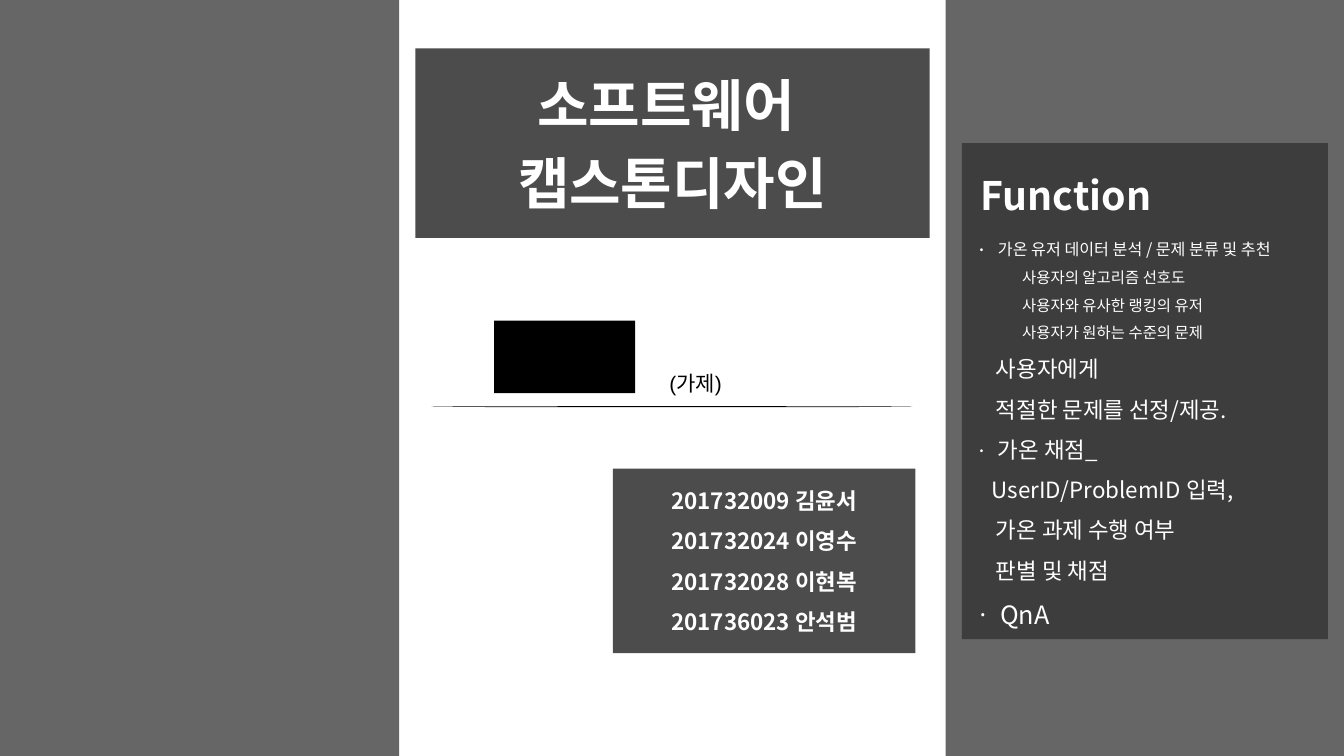
from dataclasses import dataclass

from lxml import etree
from pptx import Presentation
from pptx.dml.color import RGBColor
from pptx.enum.shapes import MSO_SHAPE
from pptx.enum.text import MSO_ANCHOR, PP_ALIGN
from pptx.oxml.ns import qn
from pptx.util import Inches, Pt

RECTANGLE, ELLIPSE = MSO_SHAPE.RECTANGLE, MSO_SHAPE.OVAL
TOP, MIDDLE = MSO_ANCHOR.TOP, MSO_ANCHOR.MIDDLE
LEFT, CENTER = PP_ALIGN.LEFT, PP_ALIGN.CENTER
COLORS = {"black": "000000", "white": "FFFFFF"}
LATIN, KOREAN = "Arial", "Noto Sans CJK KR"


@dataclass(frozen=True)
class Panel:
    left: float
    top: float
    width: float
    height: float
    opacity: int = 100
    outline: int = RECTANGLE


@dataclass(frozen=True)
class Line:
    text: str
    size: float = 16
    indent: float = 0.24
    bold: bool = False
    bullet_percent: int = 0
    space_before: float = 0


SIDE_BANDS = [Panel(left, 0, 3.96, 7.5, 60) for left in (0, 9.38)]
PROJECT_MARK = Panel(4.9, 3.18, 1.4, 0.72)
PROJECT_RULE = Panel(4.28, 4.03, 4.77, 0.01, outline=ELLIPSE)
TITLE_PANEL = Panel(4.12, 0.48, 5.1, 1.88, 70)
MEMBER_PANEL = Panel(6.08, 4.65, 3, 1.83, 70)
FUNCTION_PANEL = Panel(9.54, 1.42, 3.63, 4.92, 40)

TITLE = [
    Line("소프트웨어 ", 40, 0, True, space_before=12),
    Line("캡스톤디자인", 40, 0, True, space_before=7.2),
]
MEMBERS = [
    Line(member, 16, 0, True, space_before=9.6)
    for member in ("201732009 김윤서", "201732024 이영수",
                   "201732028 이현복", "201736023 안석범")
]
FUNCTIONS = [
    Line("Function", 28, 0.09, True),
    Line("가온 유저 데이터 분석 / 문제 분류 및 추천", 11.5, 0.26,
         bullet_percent=139, space_before=8),
    Line("사용자의 알고리즘 선호도", 11, 0.5),
    Line("사용자와 유사한 랭킹의 유저", 11, 0.5),
    Line("사용자가 원하는 수준의 문제", 11, 0.5),
    Line("사용자에게"),
    Line("적절한 문제를 선정/제공."),
    Line("가온 채점_", indent=0.26, bullet_percent=100),
    Line("UserID/ProblemID 입력,", indent=0.2),
    Line("가온 과제 수행 여부"),
    Line("판별 및 채점"),
    Line("QnA", 18, 0.28, bullet_percent=100),
]


def add_panel(slide, panel: Panel):
    shape = slide.shapes.add_shape(
        panel.outline, Inches(panel.left), Inches(panel.top),
        Inches(panel.width), Inches(panel.height))
    shape.shadow.inherit = False
    shape.line.fill.background()
    shape.fill.solid()
    shape.fill.fore_color.rgb = RGBColor.from_string(COLORS["black"])
    if panel.opacity < 100:
        tint = shape.fill._xPr.find(".//" + qn("a:srgbClr"))
        etree.SubElement(tint, qn("a:alpha"), val=str(panel.opacity * 1000))
    return shape


def add_run(paragraph, text: str, *, size: float, color: str = "white",
            font: str = KOREAN, bold: bool = False) -> None:
    run = paragraph.add_run()
    run.text = text
    run.font.size = Pt(size)
    run.font.bold = bold
    run.font.name = font
    run.font.color.rgb = RGBColor.from_string(COLORS[color])
    etree.SubElement(run.font._element, qn("a:ea"), typeface=KOREAN)


def set_indent(paragraph, line: Line) -> None:
    """Set the left margin and, where the line has one, a hanging bullet."""
    properties = paragraph._p.get_or_add_pPr()
    margin = Inches(line.indent)
    properties.set("marL", str(margin))
    properties.set("indent", str(-margin if line.bullet_percent else 0))
    if line.bullet_percent:
        etree.SubElement(properties, qn("a:buSzPct"),
                         val=str(line.bullet_percent * 1000))
        etree.SubElement(properties, qn("a:buFont"), typeface=KOREAN)
        etree.SubElement(properties, qn("a:buChar"), char="ㆍ")


def write_lines(shape, lines: list[Line], *, align: int = CENTER,
                spacing: float = 1.0, bottom: float = 0.05) -> None:
    frame = shape.text_frame
    frame.word_wrap = True
    frame.vertical_anchor = MIDDLE
    frame.margin_bottom = Inches(bottom)
    for index, line in enumerate(lines):
        paragraph = frame.add_paragraph() if index else frame.paragraphs[0]
        paragraph.alignment = align
        paragraph.line_spacing = spacing
        paragraph.space_before = Pt(line.space_before)
        set_indent(paragraph, line)
        add_run(paragraph, line.text, size=line.size, bold=line.bold)


def add_working_title_note(slide) -> None:
    note = slide.shapes.add_textbox(
        Inches(6.54), Inches(3.63), Inches(1), Inches(0.35))
    note.text_frame.word_wrap = True
    note.text_frame.vertical_anchor = TOP
    add_run(note.text_frame.paragraphs[0], "(가제)", size=15,
            color="black", font=LATIN)


def main() -> None:
    presentation = Presentation()
    presentation.slide_width = Inches(13.33)
    presentation.slide_height = Inches(7.5)
    slide = presentation.slides.add_slide(presentation.slide_layouts[6])
    add_panel(slide, PROJECT_MARK)
    add_working_title_note(slide)
    for band in SIDE_BANDS:
        add_panel(slide, band)
    write_lines(add_panel(slide, MEMBER_PANEL), MEMBERS)
    add_panel(slide, PROJECT_RULE)
    write_lines(add_panel(slide, TITLE_PANEL), TITLE)
    write_lines(add_panel(slide, FUNCTION_PANEL), FUNCTIONS,
                align=LEFT, spacing=1.5, bottom=0.1)
    presentation.save("out.pptx")


if __name__ == "__main__":
    main()
